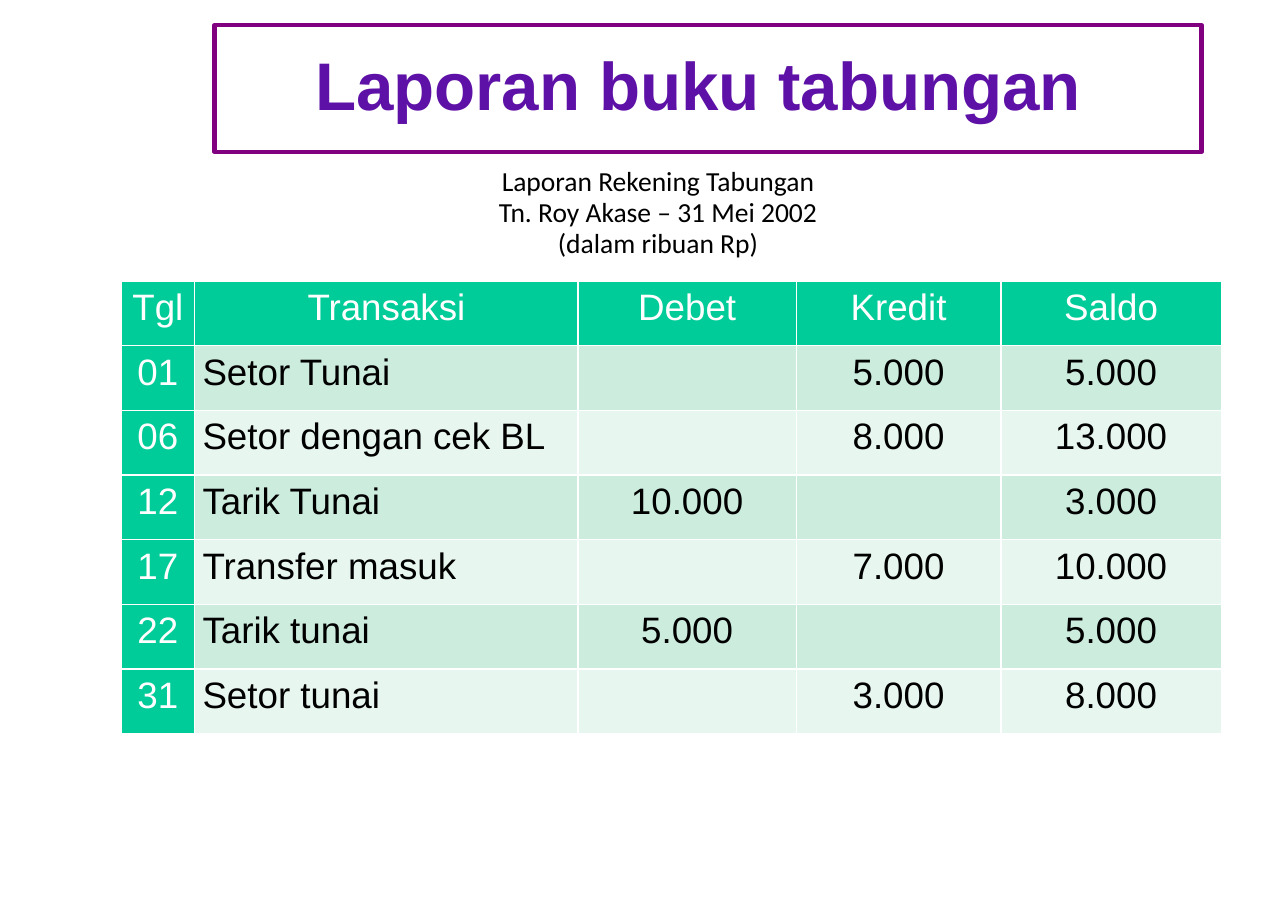
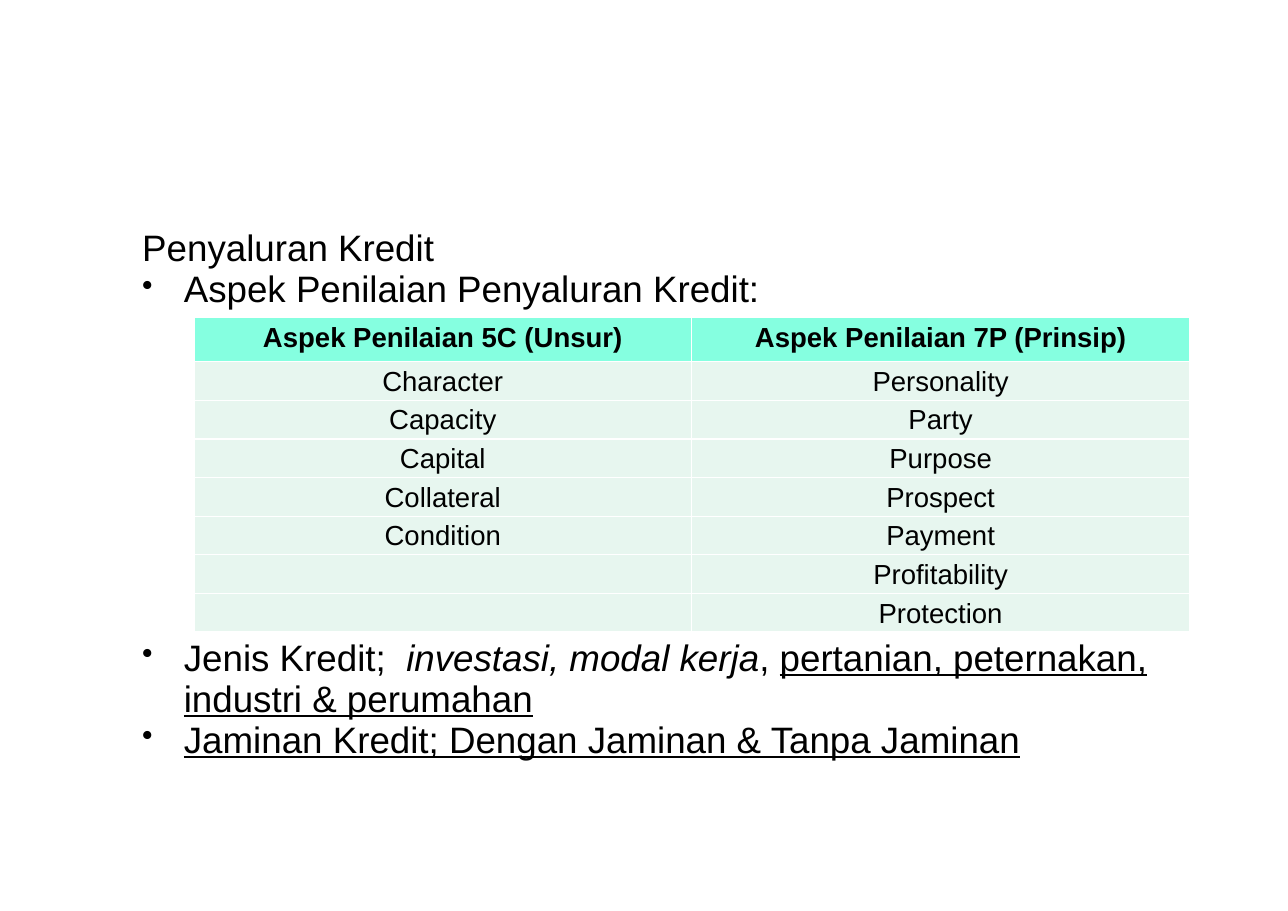
from lxml.etree import SubElement
from pptx import Presentation
from pptx.dml.color import RGBColor
from pptx.enum.shapes import MSO_SHAPE
from pptx.enum.text import MSO_ANCHOR, PP_ALIGN
from pptx.oxml import parse_xml
from pptx.oxml.ns import nsdecls, qn
from pptx.util import Cm, Pt

BLACK = RGBColor(0x00, 0x00, 0x00)
WHITE = RGBColor(0xFF, 0xFF, 0xFF)
PURPLE = RGBColor(0x80, 0x00, 0x80)
VIOLET = RGBColor(0x5E, 0x11, 0xA6)
GREEN = RGBColor(0x00, 0xCC, 0x99)
AQUA = RGBColor(0x85, 0xFF, 0xE0)
MINT = RGBColor(0xCC, 0xEC, 0xDE)
PALE = RGBColor(0xE7, 0xF6, 0xEF)


def style_paragraph(p, size, color=BLACK, name="Arial", align=PP_ALIGN.LEFT, spacing=0.93):
    p.font.size, p.font.name, p.font.color.rgb = Pt(size), name, color
    p.alignment, p.line_spacing = align, spacing


def add_grid(slide, left, top, widths, heights, rows, size, margin, look):
    """Add a table with white rules; look(row, col) gives fill, text colour, alignment and bold."""
    frame = slide.shapes.add_table(len(rows), len(widths), Cm(left), Cm(top),
                                   Cm(sum(widths)), Cm(sum(heights)))
    table = frame.table
    for column, width in zip(table.columns, widths):
        column.width = Cm(width)
    for r, (row, height) in enumerate(zip(rows, heights)):
        table.rows[r].height = Cm(height)
        for c, text in enumerate(row):
            cell = table.cell(r, c)
            fill, color, align, bold = look(r, c)
            cell.margin_left = cell.margin_right = Cm(margin)
            cell.margin_top = cell.margin_bottom = 0
            cell.text = text
            p = cell.text_frame.paragraphs[0]
            style_paragraph(p, size, color, align=align, spacing=1.15)
            p.font.bold = bold
            tc_pr = cell._tc.get_or_add_tcPr()
            for side in ("lnL", "lnR", "lnT", "lnB"):
                tc_pr.append(parse_xml(
                    f'<a:{side} {nsdecls("a")} w="{Pt(1)}"><a:solidFill>'
                    f'<a:srgbClr val="{WHITE}"/></a:solidFill></a:{side}>'))
            cell.fill.solid()
            cell.fill.fore_color.rgb = fill


prs = Presentation()
prs.slide_width, prs.slide_height = Cm(29.7), Cm(21)
blank = prs.slide_layouts[6]

# Slide 1: savings account statement
s = prs.slides.add_slide(blank)
title = s.shapes.add_shape(MSO_SHAPE.RECTANGLE, Cm(4.95), Cm(0.58), Cm(22.76), Cm(2.92))
title.shadow.inherit = False
title.fill.background()
title.line.color.rgb = PURPLE
title.line.width = Pt(2.89)
SubElement(title.line._get_or_add_ln(), qn("a:round"))
tf = title.text_frame
tf.margin_left = tf.margin_right = tf.margin_top = tf.margin_bottom = 0
tf.vertical_anchor = MSO_ANCHOR.MIDDLE
p = tf.paragraphs[0]
p.text = "Laporan buku tabungan "
style_paragraph(p, 44, VIOLET, align=PP_ALIGN.CENTER)
p.font.bold = True

statement = [
    ("Tgl", "Transaksi", "Debet", "Kredit", "Saldo"),
    ("01", "Setor Tunai", "", "5.000", "5.000"),
    ("06", "Setor dengan cek BL", "", "8.000", "13.000"),
    ("12", "Tarik Tunai", "10.000", "", "3.000"),
    ("17", "Transfer masuk", "", "7.000", "10.000"),
    ("22", "Tarik tunai", "5.000", "", "5.000"),
    ("31", "Setor tunai", "", "3.000", "8.000"),
]


def statement_look(row, col):
    if row == 0 or col == 0:
        return GREEN, WHITE, PP_ALIGN.CENTER, False
    align = PP_ALIGN.LEFT if col == 1 else PP_ALIGN.CENTER
    return (MINT if row % 2 else PALE), BLACK, align, False


add_grid(s, 2.79, 6.48, [1.7, 8.84, 5.03, 4.72, 5.08], [1.49] * len(statement),
         statement, 24, 0.18, statement_look)

tf = s.shapes.add_textbox(Cm(6.6), Cm(3.73), Cm(17.15), Cm(2.41)).text_frame
tf.word_wrap = True
caption = ["Laporan Rekening Tabungan", "Tn. Roy Akase – 31 Mei 2002", "(dalam ribuan Rp)"]
for i, text in enumerate(caption):
    p = tf.add_paragraph() if i else tf.paragraphs[0]
    p.text = text
    style_paragraph(p, 18, name="Calibri", align=PP_ALIGN.CENTER)

# Slide 2: lending criteria
s = prs.slides.add_slide(blank)
tf = s.shapes.add_textbox(Cm(3), Cm(5.13), Cm(25.81), Cm(12.57)).text_frame
tf.word_wrap = True
tf.margin_left = tf.margin_right = Cm(0.28)
tf.margin_top = tf.margin_bottom = Cm(0.15)
# Each paragraph: bulleted, space before in points, runs of (text, italic, underline)
lending = [
    (False, 0, [("Penyaluran Kredit", False, False)]),
    (True, 0, [("Aspek Penilaian Penyaluran Kredit:", False, False)]),
    (True, 214, [("Jenis Kredit;  ", False, False),
                 ("investasi, modal kerja", True, False),
                 (", ", False, False),
                 ("pertanian, peternakan, industri & perumahan", False, True)]),
    (True, 0, [("Jaminan Kredit; Dengan Jaminan & Tanpa Jaminan", False, True)]),
]
for i, (bulleted, before, runs) in enumerate(lending):
    p = tf.add_paragraph() if i else tf.paragraphs[0]
    p.space_before = Pt(before)
    for text, italic, underline in runs:
        r = p.add_run()
        r.text, r.font.italic, r.font.underline = text, italic, underline
    p_pr = p._p.get_or_add_pPr()
    p_pr.set("marL", str(Cm(0.96)))
    p_pr.set("indent", str(-Cm(0.96)))
    style_paragraph(p, 24)
    if bulleted:
        bullet = [f'<a:buClr {nsdecls("a")}><a:srgbClr val="{BLACK}"/></a:buClr>',
                  f'<a:buSzPct {nsdecls("a")} val="85000"/>',
                  f'<a:buChar {nsdecls("a")} char="•"/>']
        for xml in bullet:
            p_pr.find(qn("a:defRPr")).addprevious(parse_xml(xml))

criteria = [
    ("Aspek Penilaian 5C (Unsur)", "Aspek Penilaian 7P (Prinsip)"),
    ("Character", "Personality"),
    ("Capacity", "Party"),
    ("Capital", "Purpose"),
    ("Collateral", "Prospect"),
    ("Condition", "Payment"),
    ("", "Profitability"),
    ("", "Protection"),
]


def criteria_look(row, col):
    return (PALE if row else AQUA), BLACK, PP_ALIGN.CENTER, row == 0


add_grid(s, 4.47, 7.32, [11.48] * 2, [1.02] + [0.89] * (len(criteria) - 1),
         criteria, 18, 0.23, criteria_look)

prs.save("out.pptx")
